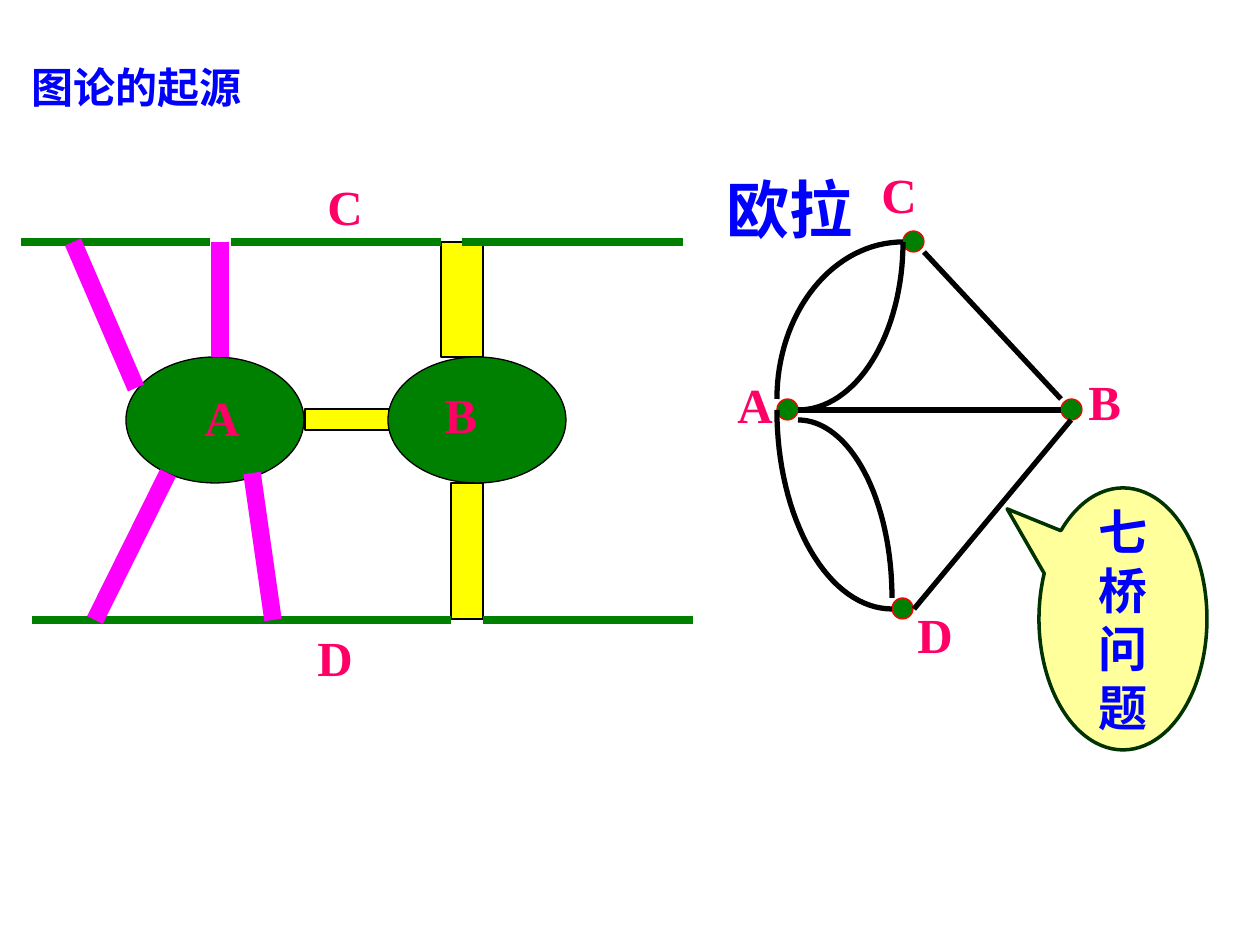
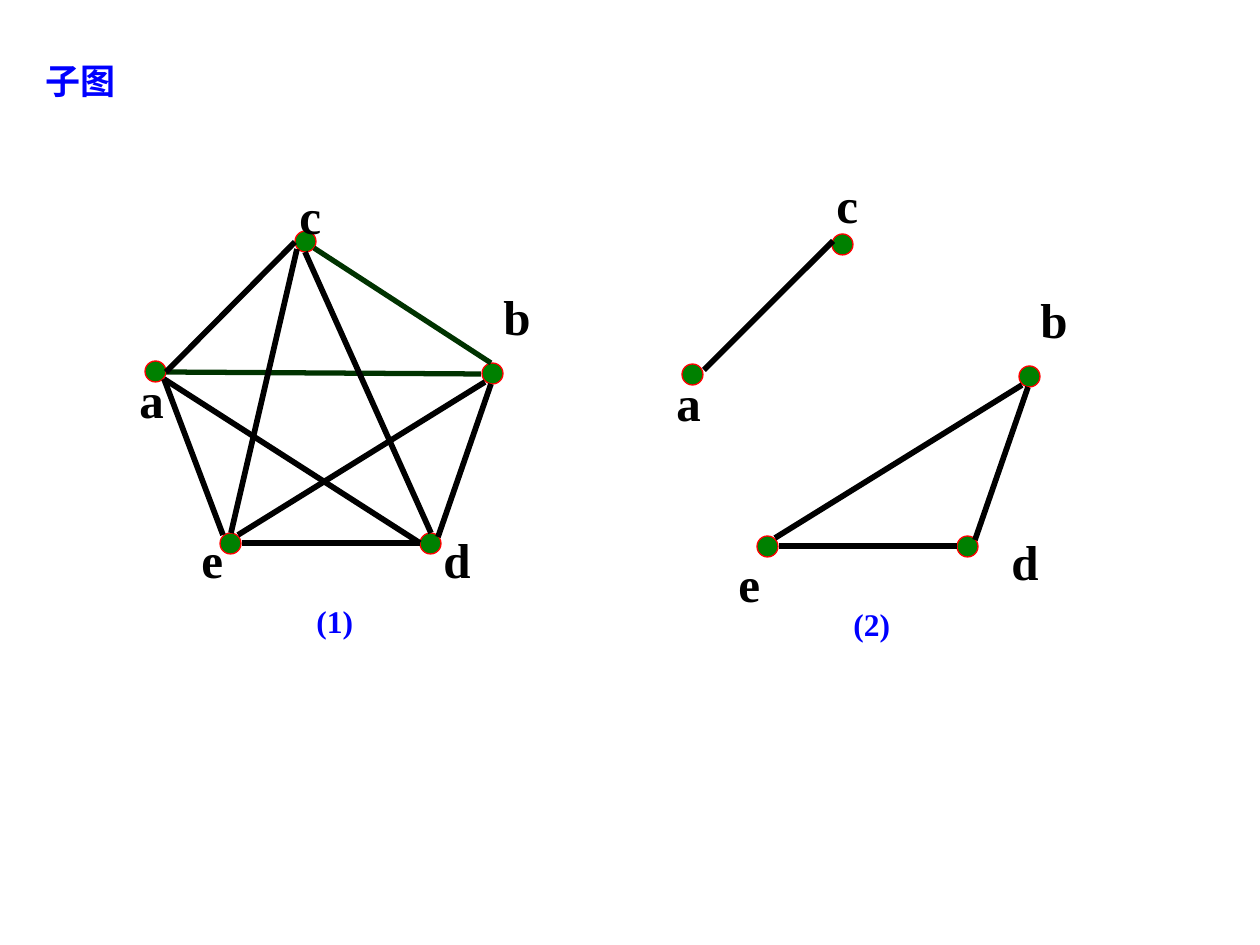
from math import cos, pi, sin

from lxml import etree
from pptx import Presentation
from pptx.dml.color import RGBColor
from pptx.enum.shapes import MSO_CONNECTOR, MSO_SHAPE
from pptx.enum.text import MSO_ANCHOR, PP_ALIGN
from pptx.oxml.ns import qn
from pptx.util import Emu, Pt

STRAIGHT = MSO_CONNECTOR.STRAIGHT
OVAL, RECT = MSO_SHAPE.OVAL, MSO_SHAPE.RECTANGLE
CALLOUT = MSO_SHAPE.OVAL_CALLOUT
MIDDLE, CENTER = MSO_ANCHOR.MIDDLE, PP_ALIGN.CENTER

PX = 914400 / 126
BLUE, PINK, BLACK, RED = "0000FF", "FF0066", "000000", "FF0000"
GREEN, DARK_GREEN = "008000", "003300"
YELLOW, PALE_YELLOW, MAGENTA = "FFFF00", "FFFF9C", "FF00FF"
LATIN, CJK = "Times New Roman", "Noto Sans CJK SC"
DOT = 21
ARC_STEPS = 32

# Subgraph slide: places relative to the box of one graph
VERTICES = {"a": (19, 183), "b": (356, 185), "c": (169, 53),
            "d": (294, 355), "e": (94, 355)}
NAMES = {"a": (1, 185, 50), "b": (365, 102, 53), "c": (161, 1, 47),
         "d": (305, 345, 53), "e": (63, 345, 48)}
EDGES = {"ab": (40, 194, 355, 196), "bc": (188, 70, 365, 185),
         "ac": (40, 194, 169, 64), "ae": (38, 201, 97, 357),
         "de": (116, 365, 294, 365), "bd": (312, 359, 365, 206),
         "ce": (171, 71, 105, 355), "cd": (179, 74, 305, 355),
         "ad": (38, 201, 294, 365), "be": (112, 357, 359, 204)}


def px(n):
    return Emu(round(n * PX))


def rgb(color):
    return RGBColor.from_string(color)


def style_text(tf, text, size, color, font):
    tf.text = text
    r = tf.paragraphs[0].runs[0]
    r.font.size, r.font.bold, r.font.name = Pt(size), True, font
    r.font.color.rgb = rgb(color)
    etree.SubElement(r._r.get_or_add_rPr(), qn("a:ea"), typeface=CJK)


def add_text(s, text, x, y, w, h, size, color, font=LATIN, wrap=False):
    tf = s.shapes.add_textbox(px(x), px(y), px(w), px(h)).text_frame
    tf.word_wrap = wrap
    style_text(tf, text, size, color, font)


def add_label(s, text, x, y, w, color):
    add_text(s, text, x, y, w, 72, 28, color)


def add_title(s, text, x, y, w, h, size, font=CJK):
    add_text(s, text, x, y, w, h, size, BLUE, font, wrap=True)


def add_figure(s, kind, x, y, w, h, fill, line=BLACK, width=0.75):
    sp = s.shapes.add_shape(kind, px(x), px(y), px(w), px(h))
    sp.shadow.inherit = False
    sp.fill.solid()
    sp.fill.fore_color.rgb = rgb(fill)
    sp.line.color.rgb = rgb(line)
    sp.line.width = Pt(width)
    return sp


def add_dot(s, x, y):
    add_figure(s, OVAL, x, y, DOT, DOT, GREEN, RED)


def add_line(s, x, y, ends, color, width):
    x1, y1, x2, y2 = ends
    c = s.shapes.add_connector(STRAIGHT, px(x + x1), px(y + y1),
                               px(x + x2), px(y + y2))
    c.line.color.rgb = rgb(color)
    c.line.width = Pt(width)
    etree.SubElement(c._element.spPr, qn("a:effectLst"))


def add_arc(s, x, y, ends):
    """Quarter ellipse that leaves its start level and arrives upright."""
    x1, y1, x2, y2 = ends
    angles = [i * pi / 2 / ARC_STEPS for i in range(ARC_STEPS + 1)]
    points = [(round((x + x1 + (x2 - x1) * sin(t)) * PX),
               round((y + y2 + (y1 - y2) * cos(t)) * PX)) for t in angles]
    fb = s.shapes.build_freeform(*points[0], scale=1.0)
    fb.add_line_segments(points[1:], close=False)
    sp = fb.convert_to_shape()
    sp.shadow.inherit = False
    sp.fill.background()
    sp.line.color.rgb = rgb(BLACK)
    sp.line.width = Pt(3)


def bridge_map(s, x, y):
    # Yellow bridges
    for bx, by, w, h in ((420, 72, 42, 115), (284, 239, 84, 21),
                         (430, 313, 32, 136)):
        add_figure(s, RECT, x + bx, y + by, w, h, YELLOW)
    # River banks
    for level, spans in ((72, ((0, 189), (210, 420), (441, 662))),
                         (450, ((11, 221), (221, 430), (462, 672)))):
        for left, right in spans:
            add_line(s, x, y, (left, level, right, level), GREEN, 4.25)
    # Islands and names of the land areas
    for left in (105, 367):
        add_figure(s, OVAL, x + left, y + 187, 178, 126, GREEN)
    for name, lx, ly, w in (("C", 294, 0, 60), ("D", 284, 451, 60),
                            ("A", 171, 211, 60), ("B", 411, 208, 58)):
        add_label(s, name, x + lx, y + ly, w, PINK)
    # Magenta bridges
    for ends in ((52, 72, 115, 218), (199, 187, 199, 72),
                 (231, 303, 252, 450), (147, 303, 74, 450)):
        add_line(s, x, y, ends, MAGENTA, 10)


def euler_graph(s, x, y):
    # Vertices and names
    for dx, dy in ((167, 440), (336, 241), (52, 241), (178, 73)):
        add_dot(s, x + dx, y + dy)
    for name, lx, ly, w in (("C", 144, 0, 60), ("D", 180, 440, 60),
                            ("A", 0, 210, 60), ("B", 351, 207, 58)):
        add_label(s, name, x + lx, y + ly, w, PINK)
    # Straight and curved edges
    for ends in ((336, 241, 199, 94), (73, 252, 336, 252),
                 (189, 451, 346, 262)):
        add_line(s, x, y, ends, BLACK, 3)
    for ends in ((178, 84, 52, 241), (73, 262, 167, 440),
                 (73, 252, 178, 84), (167, 451, 52, 252)):
        add_arc(s, x, y, ends)


def problem_callout(s, x, y, w, h):
    sp = add_figure(s, CALLOUT, x, y, w, h, PALE_YELLOW, DARK_GREEN, 2)
    sp.adjustments[0], sp.adjustments[1] = -0.69, -0.42
    tf = sp.text_frame
    tf.word_wrap = True
    tf.vertical_anchor = MIDDLE
    style_text(tf, "七桥问题", 28, BLUE, CJK)
    tf.paragraphs[0].alignment = CENTER


def letter_graph(s, x, y, caption, names, edges, dark=()):
    # Vertices
    for vx, vy in VERTICES.values():
        add_dot(s, x + vx, y + vy)
    # Edges
    for key, ends in edges.items():
        color, width = (DARK_GREEN, 3) if key in dark else (BLACK, 3.25)
        add_line(s, x, y, ends, color, width)
    # Names and caption
    for name, (lx, ly, w) in names.items():
        add_label(s, name, x + lx, y + ly, w, BLACK)
    add_text(s, caption, x + 178, y + 418, 63, 50, 18, BLUE)


def origin_slide(s):
    add_title(s, "图论的起源", 19, 55, 391, 63, 24)
    add_title(s, "欧拉", 714, 164, 179, 88, 36)
    euler_graph(s, 725, 158)
    bridge_map(s, 21, 170)
    problem_callout(s, 1039, 488, 168, 262)


def subgraph_slide(s):
    add_title(s, "子图", 33, 53, 255, 54, 20, LATIN)
    letter_graph(s, 126, 178, "(1)", NAMES, EDGES, dark=("ab", "bc"))
    sub_names = dict(NAMES, c=(161, -13, 47), d=(336, 344, 53),
                     e=(63, 366, 48))
    sub_edges = {key: EDGES[key] for key in ("de", "bd", "be")}
    sub_edges["ac"] = (41, 189, 170, 60)
    letter_graph(s, 663, 181, "(2)", sub_names, sub_edges)


def main():
    prs = Presentation()
    prs.slide_width, prs.slide_height = px(1260), px(945)
    for build in (origin_slide, subgraph_slide):
        build(prs.slides.add_slide(prs.slide_layouts[6]))
    prs.save("out.pptx")


if __name__ == "__main__":
    main()
